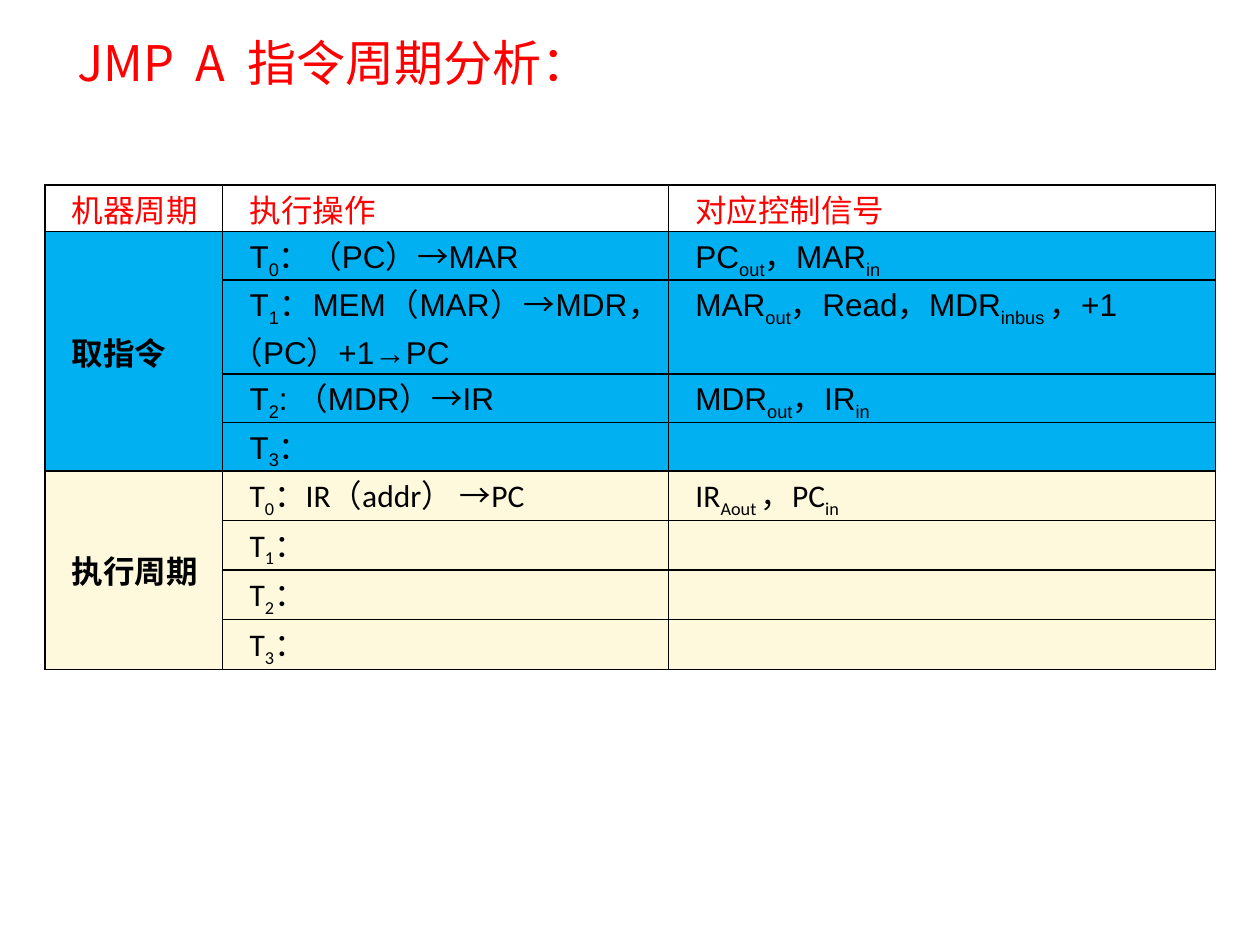
from lxml import etree
from pptx import Presentation
from pptx.dml.color import RGBColor
from pptx.enum import text
from pptx.oxml import ns
from pptx.util import Cm, Pt

RED = RGBColor(0xFF, 0x00, 0x00)
BLACK = RGBColor(0x00, 0x00, 0x00)
WHITE = RGBColor(0xFF, 0xFF, 0xFF)
BLUE = RGBColor(0x00, 0xB0, 0xF0)
CREAM = RGBColor(0xFE, 0xF9, 0xDD)
CHINESE_FONT = "Noto Sans CJK SC"

COLUMN_WIDTHS = [3.58, 8.99, 11.02]
ROW_HEIGHTS = [0.94, 0.96, 1.9, 0.97, 0.97, 1, 1, 1, 1]
HEADINGS = ["机器周期", "执行操作", "对应控制信号"]
# Text between a pair of bars is subscript.
FETCH_STEPS = [
    ("T|0|：（PC）→MAR", "PC|out|，MAR|in|"),
    ("T|1|：MEM（MAR）→MDR，（PC）+1→PC", "MAR|out|，Read，MDR|inbus |，+1"),
    ("T|2|: （MDR）→IR", "MDR|out|，IR|in|"),
    ("T|3|：", ""),
]
EXECUTE_STEPS = [
    ("T|0|：IR（addr） →PC", "IR|Aout |，PC|in|"),
    ("T|1|：", ""),
    ("T|2|：", ""),
    ("T|3|：", ""),
]


def write_text(frame, content, size=18, font="Arial", color=BLACK, bold=False,
               align=text.PP_ALIGN.JUSTIFY, indent=0):
    para = frame.paragraphs[0]
    para.alignment = align
    para._p.get_or_add_pPr().set("indent", str(Cm(indent)))
    for position, part in enumerate(content.split("|")):
        if not part:
            continue
        span = para.add_run()
        span.text = part
        span.font.size = Pt(size)
        span.font.name = font
        span.font.bold = bold
        span.font.color.rgb = color
        properties = span._r.get_or_add_rPr()
        etree.SubElement(properties, ns.qn("a:ea"), typeface=CHINESE_FONT)
        if position % 2:
            properties.set("baseline", "-25000")
    return para


def draw_borders(cell, width=1):
    properties = cell._tc.get_or_add_tcPr()
    for position, side in enumerate(("lnL", "lnR", "lnT", "lnB")):
        line = etree.Element(ns.qn(f"a:{side}"), w=str(Pt(width)))
        fill = etree.SubElement(line, ns.qn("a:solidFill"))
        etree.SubElement(fill, ns.qn("a:srgbClr"), val=str(BLACK))
        properties.insert(position, line)


def fill_cell(cell, content, fill, middle=False, **style):
    cell.margin_left = cell.margin_right = Cm(0.18)
    cell.margin_top = cell.margin_bottom = 0
    cell.vertical_anchor = text.MSO_ANCHOR.MIDDLE if middle else text.MSO_ANCHOR.TOP
    cell.fill.solid()
    cell.fill.fore_color.rgb = fill
    draw_borders(cell)
    write_text(cell.text_frame, content, indent=0.36, **style)


def add_phase(table, first_row, name, steps, fill, font):
    """Fill one machine cycle: a merged name cell and a row for each step."""
    last_row = first_row + len(steps) - 1
    for row, step in enumerate(steps, first_row):
        label = name if row == first_row else ""
        fill_cell(table.cell(row, 0), label, fill, middle=True, bold=True)
        for column, content in enumerate(step, 1):
            fill_cell(table.cell(row, column), content, fill, font=font)
    table.cell(first_row, 0).merge(table.cell(last_row, 0))


def add_cycle_table(page, left, top):
    frame = page.shapes.add_table(
        len(ROW_HEIGHTS), len(COLUMN_WIDTHS), Cm(left), Cm(top),
        Cm(sum(COLUMN_WIDTHS)), Cm(sum(ROW_HEIGHTS)))
    table = frame.table
    table.first_row = table.horz_banding = False
    for column, width in zip(table.columns, COLUMN_WIDTHS):
        column.width = Cm(width)
    for row, height in zip(table.rows, ROW_HEIGHTS):
        row.height = Cm(height)
    for column, heading in enumerate(HEADINGS):
        fill_cell(table.cell(0, column), heading, WHITE, middle=True, color=RED)
    add_phase(table, 1, "取指令", FETCH_STEPS, BLUE, "Arial")
    add_phase(table, 1 + len(FETCH_STEPS), "执行周期", EXECUTE_STEPS, CREAM, "Calibri")


def set_title(page, left, top, width, height):
    title = page.shapes.title
    title.left, title.top, title.width, title.height = map(Cm, (left, top, width, height))
    frame = title.text_frame
    frame.word_wrap = True
    frame.auto_size = text.MSO_AUTO_SIZE.NONE
    frame.vertical_anchor = text.MSO_ANCHOR.TOP
    frame.margin_top = 0
    para = write_text(frame, "JMP  A  指令周期分析：", size=28, font=CHINESE_FONT,
                      color=RED, align=text.PP_ALIGN.LEFT)
    para.line_spacing = 0.78


def main():
    deck = Presentation()
    deck.slide_width, deck.slide_height = Cm(25.4), Cm(19.05)
    page = deck.slides.add_slide(deck.slide_layouts.get_by_name("Title Only"))
    set_title(page, 1.3, 0.91, 21.69, 2.03)
    add_cycle_table(page, 0.91, 3.73)
    deck.save("out.pptx")


if __name__ == "__main__":
    main()
